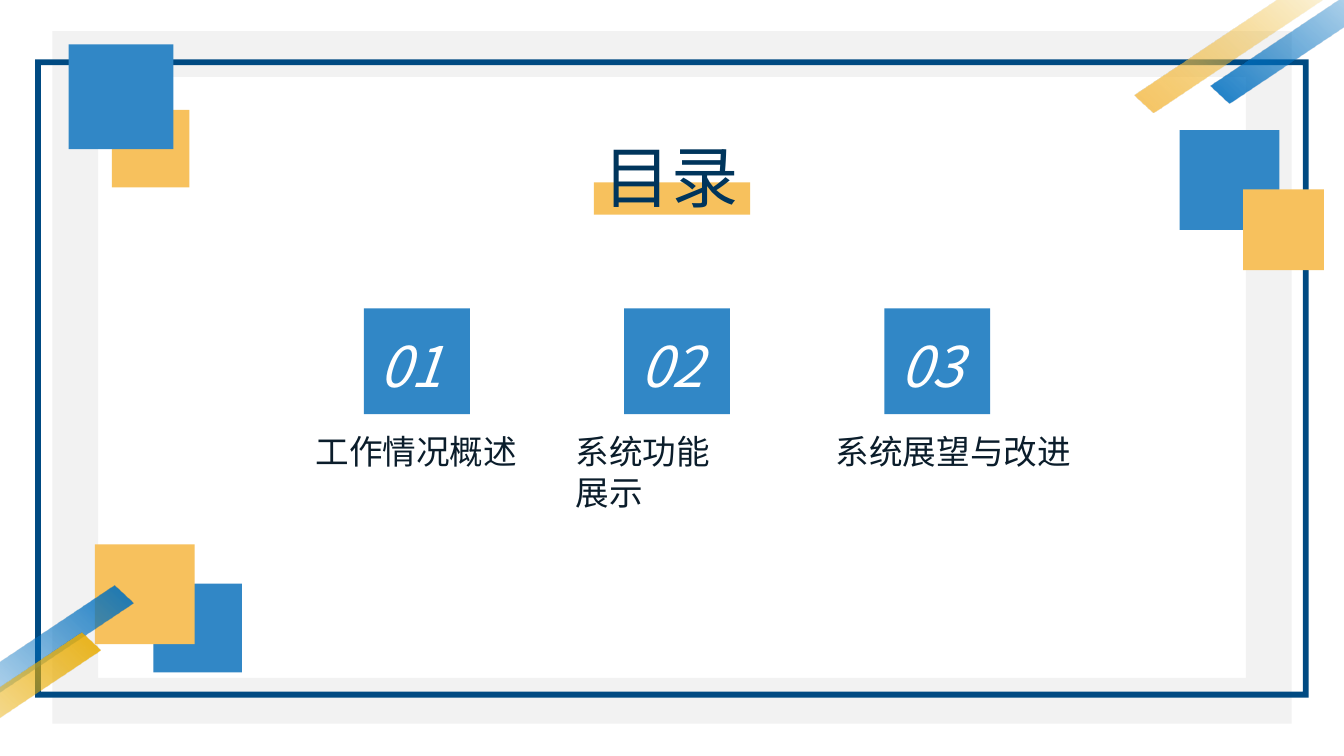
from dataclasses import dataclass

from lxml import etree
from pptx import Presentation
from pptx.dml.color import RGBColor
from pptx.enum.shapes import MSO_SHAPE
from pptx.enum.text import MSO_ANCHOR, MSO_AUTO_SIZE, PP_ALIGN
from pptx.oxml.ns import qn
from pptx.util import Pt


@dataclass(frozen=True)
class Theme:
    blue: str = "3187C6"
    yellow: str = "F7C15D"
    grey: str = "F2F2F2"
    navy: str = "004A82"
    title: str = "00355C"
    text: str = "0B1D2B"
    white: str = "FFFFFF"
    stripe_blue: str = "0070C0"
    stripe_gold: str = "E9AC01"
    font: str = "Noto Sans CJK SC"
    title_size: int = 48
    number_size: int = 40
    label_size: int = 24


T = Theme()
PX = 9144  # 100 px to the inch


def px(*lengths):
    return [n * PX for n in lengths]


def add_block(s, box, color, kind=MSO_SHAPE.RECTANGLE, adj=None):
    sp = s.shapes.add_shape(kind, *px(*box))
    sp.shadow.inherit = False
    sp.line.fill.background()
    sp.fill.solid()
    sp.fill.fore_color.rgb = RGBColor.from_string(color)
    if adj is not None:
        sp.adjustments[0] = adj
    return sp


def write_text(sp, text, size, color, italic=False, wrap=False):
    tf = sp.text_frame
    tf.word_wrap = wrap
    tf.auto_size = MSO_AUTO_SIZE.NONE
    tf.vertical_anchor = MSO_ANCHOR.TOP
    p = tf.paragraphs[0]
    p.alignment = PP_ALIGN.LEFT
    r = p.add_run()
    r.text = text
    r.font.size = Pt(size)
    r.font.italic = italic
    r.font.color.rgb = RGBColor.from_string(color)
    r.font.name = T.font
    etree.SubElement(r.font._element, qn("a:ea"), typeface=T.font)


def add_stripe(s, x, y, angle, start, end):
    """Diagonal stripe that fades from start to a transparent end colour."""
    sp = add_block(s, (x, y, 340, 81), start, MSO_SHAPE.DIAGONAL_STRIPE, 0.678)
    sp.rotation = angle
    spPr = sp._element.spPr
    spPr.find(qn("a:xfrm")).set("flipH", "1")
    grad = etree.Element(qn("a:gradFill"), rotWithShape="1")
    stops = etree.SubElement(grad, qn("a:gsLst"))
    for pos, color, alpha in ((0, start, 100000), (68000, end, 0)):
        stop = etree.SubElement(stops, qn("a:gs"), pos=str(pos))
        clr = etree.SubElement(stop, qn("a:srgbClr"), val=color)
        etree.SubElement(clr, qn("a:alpha"), val=str(alpha))
    etree.SubElement(grad, qn("a:lin"), ang="0", scaled="0")
    spPr.replace(spPr.find(qn("a:solidFill")), grad)


def add_background(s):
    # Frames
    add_block(s, (52, 31, 1229, 687), T.grey, MSO_SHAPE.FRAME, 0.066)
    add_block(s, (35, 59, 1263, 633), T.navy, MSO_SHAPE.FRAME, 0.009)
    # Corner squares, back to front
    for x, y, side, color in (
        (1170, 129, 99, T.blue),
        (111, 109, 77, T.yellow),
        (152, 579, 88, T.blue),
        (68, 44, 104, T.blue),
        (94, 540, 99, T.yellow),
    ):
        add_block(s, (x, y, side, side), color)
    # Fading stripes
    for x, y, angle, start, end in (
        (-183, 655, 312.9, T.stripe_blue, T.stripe_blue),
        (-216, 702, 312.9, T.stripe_gold, T.stripe_gold),
        (1176, -53, 132.9, T.stripe_blue, T.stripe_blue),
        (1101, -44, 132.9, T.yellow, T.stripe_gold),
    ):
        add_stripe(s, x, y, angle, start, end)
    add_block(s, (1233, 188, 80, 80), T.yellow)


def add_title(s, box, text):
    x, y, w, h = box
    add_block(s, (x, y + 52, w, 32), T.yellow)
    sp = s.shapes.title
    sp.left, sp.top, sp.width, sp.height = px(x, y, w, h)
    write_text(sp, text, T.title_size, T.title)
    s.shapes._spTree.append(sp._element)  # bring above the highlight


def add_item(s, box, number, label):
    x, y, w, h = box
    add_block(s, (x + 58, y, 105, 105), T.blue)
    num = s.shapes.add_textbox(*px(x + 64, y + 18, 86, 77))
    write_text(num, f"{number:02}", T.number_size, T.white, italic=True)
    cap = s.shapes.add_textbox(*px(x, y + 117, w, h - 117))
    write_text(cap, label, T.label_size, T.text, wrap=True)


def add_contents(s, x, y):
    items = (("工作情况概述", 222), ("系统功能展示", 162), ("系统展望与改进", 400))
    pitch, height = 258, 210
    for i, (label, width) in enumerate(items):
        add_item(s, (x + i * pitch, y, width, height), i + 1, label)


def main():
    prs = Presentation()
    prs.slide_width, prs.slide_height = px(1333, 750)
    s = prs.slides.add_slide(prs.slide_layouts[5])
    add_background(s)
    add_title(s, (589, 129, 155, 91), "目录")
    add_contents(s, 303, 306)
    prs.save("out.pptx")


if __name__ == "__main__":
    main()
